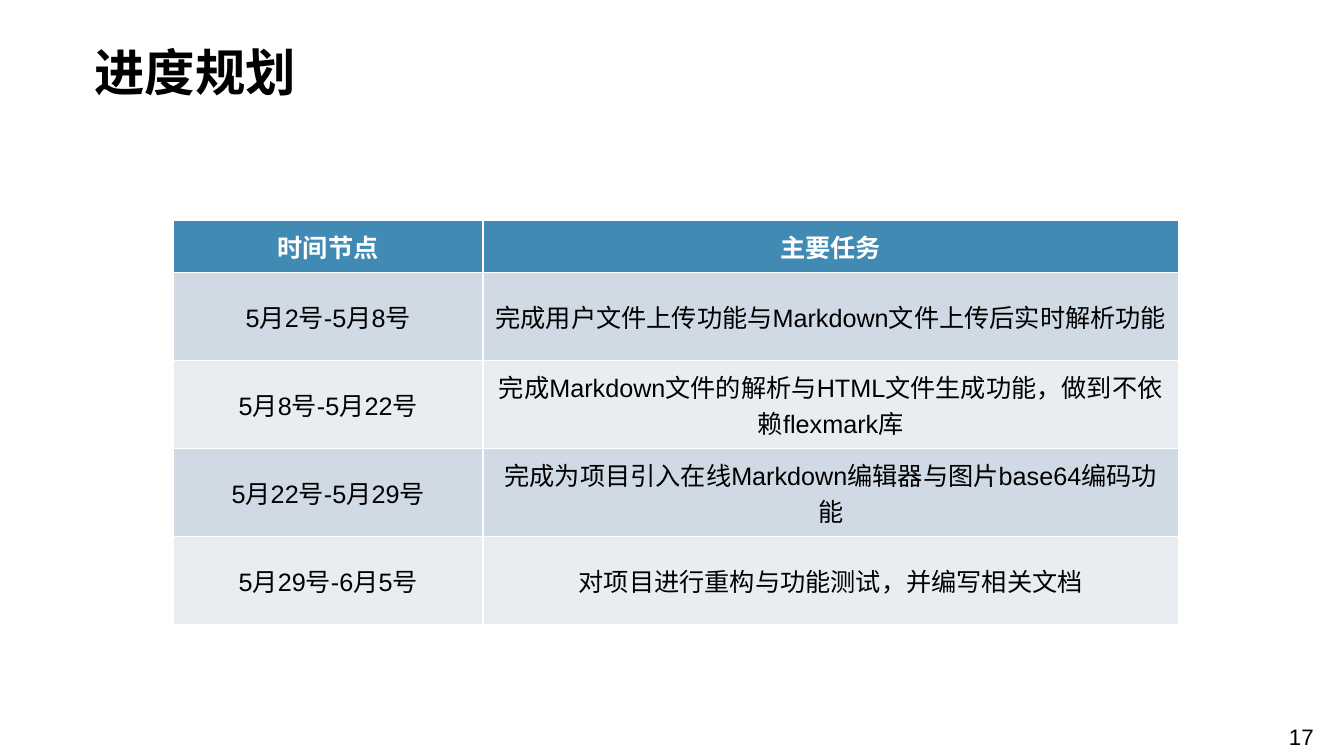
from pptx import Presentation
from pptx.dml.color import RGBColor
from pptx.enum.text import MSO_ANCHOR, MSO_AUTO_SIZE, PP_ALIGN
from pptx.util import Cm, Pt

LEFT, CENTER = PP_ALIGN.LEFT, PP_ALIGN.CENTER
MIDDLE, BOTTOM = MSO_ANCHOR.MIDDLE, MSO_ANCHOR.BOTTOM
FIXED = MSO_AUTO_SIZE.NONE

PLAN = [
    ("时间节点", "主要任务"),
    ("5月2号-5月8号", "完成用户文件上传功能与Markdown文件上传后实时解析功能"),
    ("5月8号-5月22号", "完成Markdown文件的解析与HTML文件生成功能，做到不依赖flexmark库"),
    ("5月22号-5月29号", "完成为项目引入在线Markdown编辑器与图片base64编码功能"),
    ("5月29号-6月5号", "对项目进行重构与功能测试，并编写相关文档"),
]


def color(code):
    return RGBColor.from_string(code)


class Page:
    face = "Arial"
    ink = "000000"
    white = "FFFFFF"
    head = "418AB3"
    bands = ("CFDAE5", "E9EDF2")

    def __init__(self, deck):
        self.slide = deck.slides.add_slide(deck.slide_layouts[5])

    def style(self, frame, text, size, code, bold=False, align=CENTER):
        frame.text = text
        para = frame.paragraphs[0]
        para.alignment = align
        font = para.font
        font.name, font.size, font.bold = self.face, Pt(size), bold
        font.color.rgb = color(code)

    def title(self, text, left, top, width, height):
        shape = self.slide.shapes.title
        shape.left, shape.top = Cm(left), Cm(top)
        shape.width, shape.height = Cm(width), Cm(height)
        frame = shape.text_frame
        frame.auto_size = FIXED
        frame.vertical_anchor = BOTTOM
        self.style(frame, text, 36, self.ink, True, LEFT)

    def label(self, text, left, top, width, height):
        box = self.slide.shapes.add_textbox(Cm(left), Cm(top), Cm(width), Cm(height))
        box.text_frame.word_wrap = True
        self.style(box.text_frame, text, 16, self.ink)

    def table(self, data, left, top, widths, heights):
        grid = self.slide.shapes.add_table(
            len(data), len(widths), Cm(left), Cm(top),
            Cm(sum(widths)), Cm(sum(heights))).table
        for col, width in zip(grid.columns, widths):
            col.width = Cm(width)
        for r, (row, height) in enumerate(zip(grid.rows, heights)):
            row.height = Cm(height)
            first = r == 0
            fill = self.head if first else self.bands[(r - 1) % 2]
            ink = self.white if first else self.ink
            for cell, text in zip(row.cells, data[r]):
                cell.fill.solid()
                cell.fill.fore_color.rgb = color(fill)
                cell.vertical_anchor = MIDDLE
                self.style(cell.text_frame, text, 18, ink, first)


def main():
    deck = Presentation()
    deck.slide_width, deck.slide_height = Cm(33.87), Cm(19.05)
    page = Page(deck)
    page.title("进度规划", 2.13, 0.84, 29.64, 1.85)
    page.label("17", 31.73, 18.11, 2.13, 0.89)
    page.table(PLAN, 4.37, 5.56, (7.8, 17.53), [1.3] + [2.22] * 4)
    deck.save("out.pptx")


if __name__ == "__main__":
    main()
